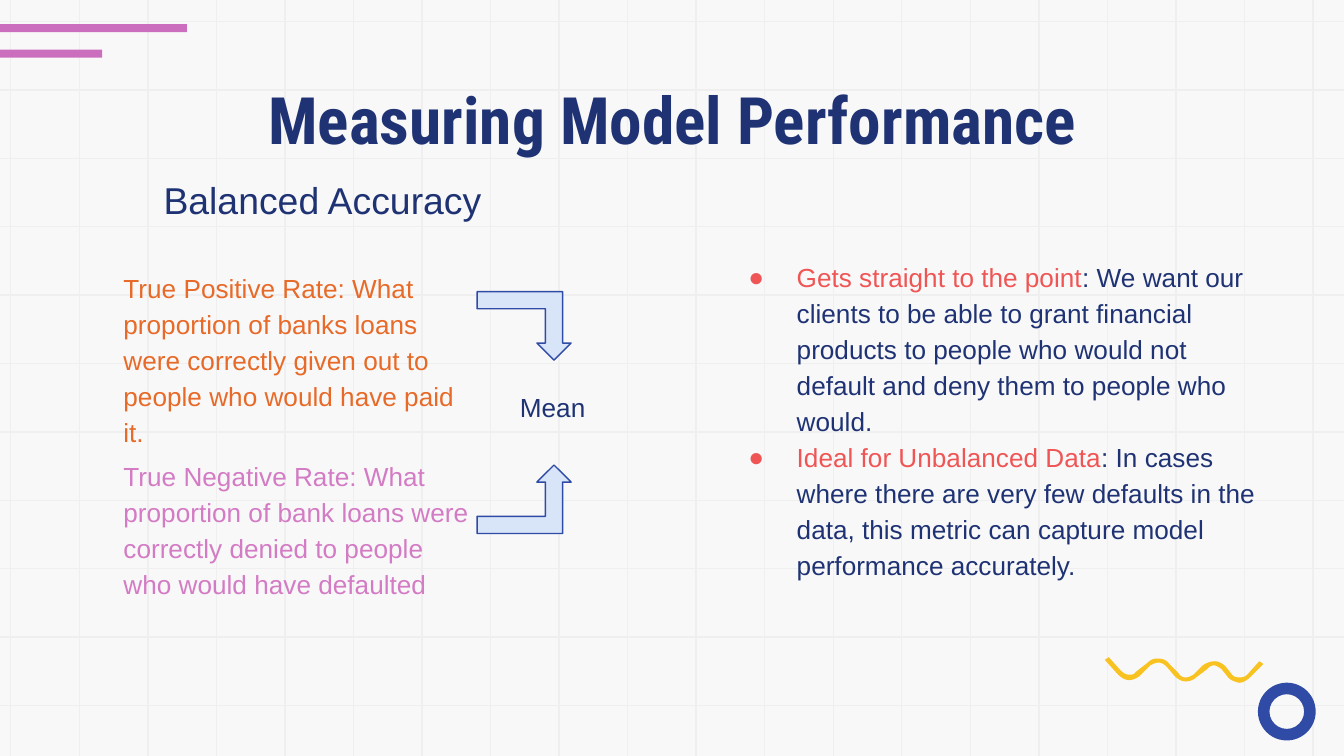
import lxml.etree
import pptx
import pptx.dml.color
import pptx.enum.shapes
import pptx.enum.text
import pptx.oxml.ns
import pptx.util

Inches = pptx.util.Inches
Pt = pptx.util.Pt
Color = pptx.dml.color.RGBColor
Shape = pptx.enum.shapes.MSO_SHAPE
Align = pptx.enum.text.PP_ALIGN
Anchor = pptx.enum.text.MSO_ANCHOR
qn = pptx.oxml.ns.qn

PAPER = Color(0xF8, 0xF8, 0xF8)
GRID = Color(0xEF, 0xEF, 0xEF)
PINK = Color(0xCB, 0x6E, 0xBE)
LILAC = Color(0xD3, 0x7B, 0xC4)
NAVY = Color(0x1F, 0x33, 0x74)
BLUE = Color(0x30, 0x4B, 0xA6)
PALE = Color(0xD8, 0xE4, 0xF7)
GOLD = Color(0xF8, 0xC2, 0x20)
ORANGE = Color(0xE7, 0x6A, 0x28)
RED = Color(0xF0, 0x55, 0x55)

WAVE = [
    (8.25, 4.89), (8.22, 4.91), (8.32, 5.02),
    (8.34, 5.04, 8.37, 5.06, 8.4, 5.06), (8.43, 5.06, 8.45, 5.05, 8.48, 5.03),
    (8.56, 4.95),
    (8.58, 4.94, 8.6, 4.93, 8.62, 4.93), (8.64, 4.93, 8.66, 4.94, 8.68, 4.96),
    (8.74, 5.03),
    (8.76, 5.05, 8.79, 5.07, 8.82, 5.07), (8.85, 5.07, 8.88, 5.06, 8.9, 5.04),
    (8.98, 4.98),
    (9, 4.96, 9.01, 4.95, 9.04, 4.95), (9.06, 4.96, 9.08, 4.97, 9.09, 4.98),
    (9.13, 5.03),
    (9.15, 5.06, 9.18, 5.07, 9.22, 5.08), (9.25, 5.08, 9.28, 5.06, 9.3, 5.04),
    (9.4, 4.94), (9.37, 4.92), (9.28, 5.02),
    (9.26, 5.04, 9.24, 5.04, 9.22, 5.04), (9.19, 5.04, 9.17, 5.03, 9.16, 5.01),
    (9.12, 4.96),
    (9.1, 4.94, 9.07, 4.92, 9.04, 4.92), (9.01, 4.92, 8.98, 4.93, 8.95, 4.95),
    (8.88, 5.02),
    (8.86, 5.03, 8.85, 5.04, 8.82, 5.04), (8.8, 5.04, 8.78, 5.03, 8.77, 5.01),
    (8.7, 4.94),
    (8.68, 4.91, 8.65, 4.9, 8.61, 4.9), (8.58, 4.9, 8.56, 4.91, 8.54, 4.93),
    (8.45, 5),
    (8.44, 5.02, 8.42, 5.02, 8.4, 5.02), (8.38, 5.02, 8.36, 5.01, 8.34, 4.99),
]


def add_rule(slide, x1, y1, x2, y2):
    rule = slide.shapes.add_connector(
        pptx.enum.shapes.MSO_CONNECTOR.STRAIGHT,
        Inches(x1), Inches(y1), Inches(x2), Inches(y2))
    rule.line.color.rgb = GRID
    rule.line.width = Pt(0.75)
    lxml.etree.SubElement(rule.element.spPr, qn("a:effectLst"))


def add_grid(slide):
    for row in range(11):
        y = 0.16 + row * 5.09 / 10
        add_rule(slide, 10, y, 0, y)
    for col in range(20):
        x = 0.08 + col * 9.69 / 19
        add_rule(slide, x, -0.18, x, 5.8)


def paint(shape, fill, line=None):
    shape.shadow.inherit = False
    shape.fill.solid()
    shape.fill.fore_color.rgb = fill
    if line is None:
        shape.line.fill.background()
    else:
        shape.line.color.rgb = line
        shape.line.width = Pt(0.75)


def add_shape(slide, kind, box, fill, line=None):
    shape = slide.shapes.add_shape(kind, *map(Inches, box))
    paint(shape, fill, line)
    return shape


def add_arrow(slide, top):
    arrow = add_shape(slide, Shape.BENT_UP_ARROW, (3.55, top, 0.7, 0.51), PALE, BLUE)
    for i in range(3):
        arrow.adjustments[i] = 0.25
    return arrow


def trace(path):
    spots = [path[0]]
    for part in path[1:]:
        if len(part) == 2:
            spots.append(part)
            continue
        knots = [spots[-1], part[:2], part[2:4], part[4:]]
        for step in range(1, 7):
            t = step / 6
            rates = ((1 - t) ** 3, 3 * t * (1 - t) ** 2, 3 * t * t * (1 - t), t ** 3)
            spots.append(tuple(
                sum(rate * knot[axis] for rate, knot in zip(rates, knots))
                for axis in range(2)))
    return spots


def add_wave(slide):
    spots = [(Inches(x), Inches(y)) for x, y in trace(WAVE)]
    pen = slide.shapes.build_freeform(*spots[0])
    pen.add_line_segments(spots[1:], close=True)
    paint(pen.convert_to_shape(), GOLD)


def add_bullet(para):
    props = para._p.get_or_add_pPr()
    tint = lxml.etree.SubElement(props, qn("a:buClr"))
    lxml.etree.SubElement(tint, qn("a:srgbClr"), val=str(RED))
    lxml.etree.SubElement(props, qn("a:buFont"), typeface="Arial")
    lxml.etree.SubElement(props, qn("a:buChar"), char="●")


def add_text(slide, box, paras, size=14, font="Arial", bold=False, align=Align.LEFT,
             anchor=Anchor.TOP, space=1.15, left=0, hang=0):
    frame = slide.shapes.add_textbox(*map(Inches, box)).text_frame
    frame.word_wrap = True
    frame.vertical_anchor = anchor
    frame.margin_left = frame.margin_right = Inches(0.1)
    frame.margin_top = frame.margin_bottom = Inches(0.1)
    for i, runs in enumerate(paras):
        para = frame.add_paragraph() if i else frame.paragraphs[0]
        para.alignment = align
        para.line_spacing = space
        props = para._p.get_or_add_pPr()
        props.set("marL", str(Inches(left)))
        props.set("indent", str(Inches(hang)))
        if hang:
            add_bullet(para)
        for words, color in runs:
            run = para.add_run()
            run.text = words
            run.font.name = font
            run.font.size = Pt(size)
            run.font.bold = bold
            run.font.color.rgb = color


def main():
    deck = pptx.Presentation()
    deck.slide_width = Inches(10)
    deck.slide_height = Inches(10 * 9 / 16)
    slide = deck.slides.add_slide(deck.slide_layouts[6])
    slide.background.fill.solid()
    slide.background.fill.fore_color.rgb = PAPER

    add_grid(slide)
    for top, width in ((0.18, 1.39), (0.37, 0.76)):
        add_shape(slide, Shape.RECTANGLE, (0, top, width, 0.06), PINK)
    ring = add_shape(slide, Shape.DONUT, (9.36, 5.08, 0.43, 0.43), BLUE)
    ring.adjustments[0] = 0.2
    add_wave(slide)

    add_text(slide, (0.79, 0.49, 8.43, 0.63), [[("Measuring Model Performance", NAVY)]],
             size=35, font="Roboto Condensed", bold=True, align=Align.CENTER, space=1)
    add_text(slide, (1.04, 1.19, 2.72, 0.54), [[("Balanced Accuracy", NAVY)]],
             size=20, align=Align.CENTER, anchor=Anchor.MIDDLE)
    add_text(slide, (0.32, 1.89, 3.19, 1.21), [[(
        "True Positive Rate: What proportion of banks loans were correctly "
        "given out to people who would have paid it.", ORANGE)]], left=0.5)
    add_text(slide, (0.32, 3.29, 3.28, 1.25), [[(
        "True Negative Rate: What proportion of bank loans were correctly "
        "denied to people who would have defaulted", LILAC)]], left=0.5)

    add_arrow(slide, 3.46)
    down = add_arrow(slide, 2.17)
    down.rotation = 180
    down.element.spPr.xfrm.set("flipH", "1")
    add_text(slide, (3.77, 2.81, 0.8, 0.39), [[("Mean", NAVY)]], space=1)

    add_text(slide, (5.33, 1.81, 4.14, 2.42), [
        [("Gets straight to the point", RED),
         (": We want our clients to be able to grant financial products to people "
          "who would not default and deny them to people who would.", NAVY)],
        [("Ideal for Unbalanced Data", RED),
         (": In cases where there are very few defaults in the data, this metric "
          "can capture model performance accurately.", NAVY)],
    ], left=0.5, hang=-0.36)
    deck.save("out.pptx")


if __name__ == "__main__":
    main()
